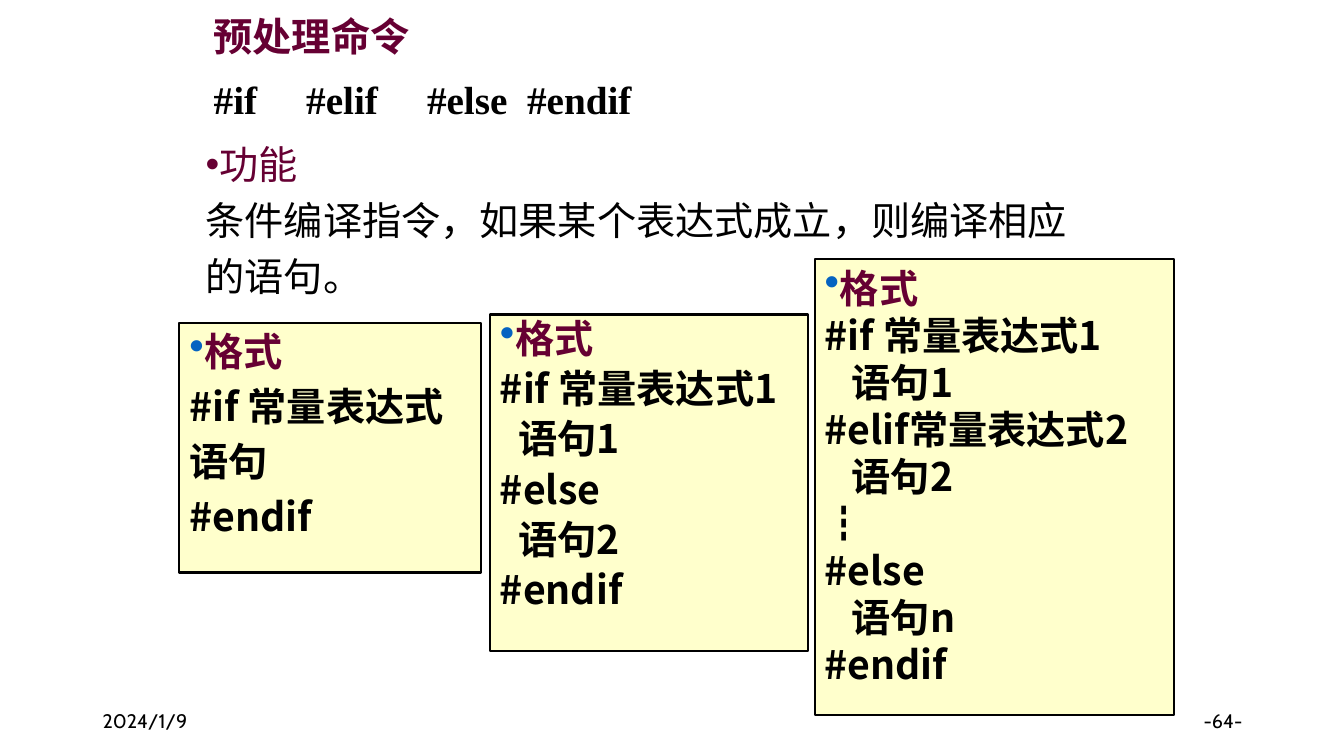
from lxml.etree import SubElement
from pptx import Presentation
from pptx.dml.color import RGBColor
from pptx.enum.shapes import MSO_SHAPE
from pptx.enum.text import MSO_ANCHOR, MSO_AUTO_SIZE, PP_ALIGN
from pptx.oxml.ns import qn
from pptx.util import Inches, Pt

WIDE, HIGH = Inches(13.33), Inches(7.5)
HUES = {"ink": "000000", "wine": "660033", "cream": "FFFFCC", "blue": "0563C1"}
SANS, SERIF, SMALL = "Noto Sans CJK SC", "Times New Roman", "Cabin"


def hue(name):
    return RGBColor.from_string(HUES[name])


def area(left, top, width, height):
    return [int(side * share / 100) for side, share in
            zip((WIDE, HIGH, WIDE, HIGH), (left, top, width, height))]


def place(shape, spot):
    shape.left, shape.top, shape.width, shape.height = area(*spot)


def frame(shape, anchor=MSO_ANCHOR.TOP):
    text = shape.text_frame
    text.word_wrap = True
    text.auto_size = MSO_AUTO_SIZE.NONE
    text.vertical_anchor = anchor
    return text


def pieces(words, gaps):
    parts = words.split(" ", len(gaps))
    yield parts[0], 0
    for part, gap in zip(parts[1:], gaps):
        yield " ", gap
        yield part, 0


def write(text, words, size=28, font=SANS, color="ink", bold=False,
          align=PP_ALIGN.JUSTIFY, line=1, before=0, indent=0,
          bullet=None, gaps=()):
    first = not text.paragraphs[0].runs
    para = text.paragraphs[0] if first else text.add_paragraph()
    para.alignment = align
    para.line_spacing = line
    para.space_before = Pt(0 if first else before)
    para.space_after = Pt(0)
    for part, gap in pieces(words, gaps) if gaps else [(words, 0)]:
        run = para.add_run()
        run.text = part
        run.font.size, run.font.name, run.font.bold = Pt(size), font, bold
        run.font.color.rgb = hue(color)
        SubElement(run.font._element, qn("a:ea"), typeface=font)
        if gap:
            run.font._element.set("spc", str(gap * 100))
    props = para._p.get_or_add_pPr()
    props.set("marL", str(Inches(indent)))
    props.set("indent", "0")
    if bullet:
        tint = SubElement(props, qn("a:buClr"))
        SubElement(tint, qn("a:srgbClr"), val=HUES[bullet])
        share = "110000" if bullet == "blue" else "100000"
        SubElement(props, qn("a:buSzPct"), val=share)
        SubElement(props, qn("a:buChar"), char="•")
    else:
        SubElement(props, qn("a:buNone"))


def head(slide):
    title = slide.shapes.title
    place(title, (15.15, 0.67, 63.84, 17.87))
    text = frame(title)
    text.margin_top = Inches(0.12)
    look = dict(bold=True, align=PP_ALIGN.LEFT, line=0.9)
    write(text, "预处理命令", color="wine", **look)
    write(text, "#if #elif #else #endif", font=SERIF, before=15,
          gaps=(28, 28, 7), **look)


def body(slide):
    holder = slide.placeholders[1]
    place(holder, (14.55, 18.53, 69.32, 25.2))
    text = frame(holder)
    look = dict(line=0.9, before=10)
    write(text, "功能", color="wine", bullet="wine", **look)
    for words in ("条件编译指令，如果某个表达式成立，则编译相应", "的语句。"):
        write(text, words, **look)


def card(slide, spot, lines, indent, line, before):
    box = slide.shapes.add_shape(MSO_SHAPE.RECTANGLE, *area(*spot))
    box.shadow.inherit = False
    box.fill.solid()
    box.fill.fore_color.rgb = hue("cream")
    box.line.color.rgb = hue("ink")
    box.line.width = Pt(1.5)
    text = frame(box)
    text.margin_right = Inches(0.02)
    look = dict(bold=True, line=line, before=before)
    write(text, "格式", color="wine", bullet="blue", **look)
    for words in lines:
        inset = indent if words.startswith("语句") else 0
        write(text, words, indent=inset, **look)


def note(slide, left, words, align):
    box = slide.shapes.add_textbox(*area(left, 92.67, 22.51, 5.33))
    write(frame(box, MSO_ANCHOR.MIDDLE), words, size=14, font=SMALL,
          align=align)


def main():
    deck = Presentation()
    deck.slide_width, deck.slide_height = WIDE, HIGH
    slide = deck.slides.add_slide(deck.slide_layouts[1])
    head(slide)
    body(slide)
    note(slide, 6.9, "2024/1/9", PP_ALIGN.LEFT)
    note(slide, 70.67, "-64-", PP_ALIGN.RIGHT)
    card(slide, (13.35, 42.67, 22.43, 33.07),
         ("#if 常量表达式", "语句", "#endif"),
         indent=0, line=1, before=5.7)
    card(slide, (36.46, 41.6, 23.63, 44.53),
         ("#if 常量表达式1", "语句1", "#else", "语句2", "#endif"),
         indent=0.18, line=0.9, before=5.7)
    card(slide, (60.62, 34.27, 26.71, 60.27),
         ("#if 常量表达式1", "语句1", "#elif常量表达式2", "语句2", "┇",
          "#else", "语句n", "#endif"),
         indent=0.27, line=1, before=0)
    deck.save("out.pptx")


if __name__ == "__main__":
    main()
